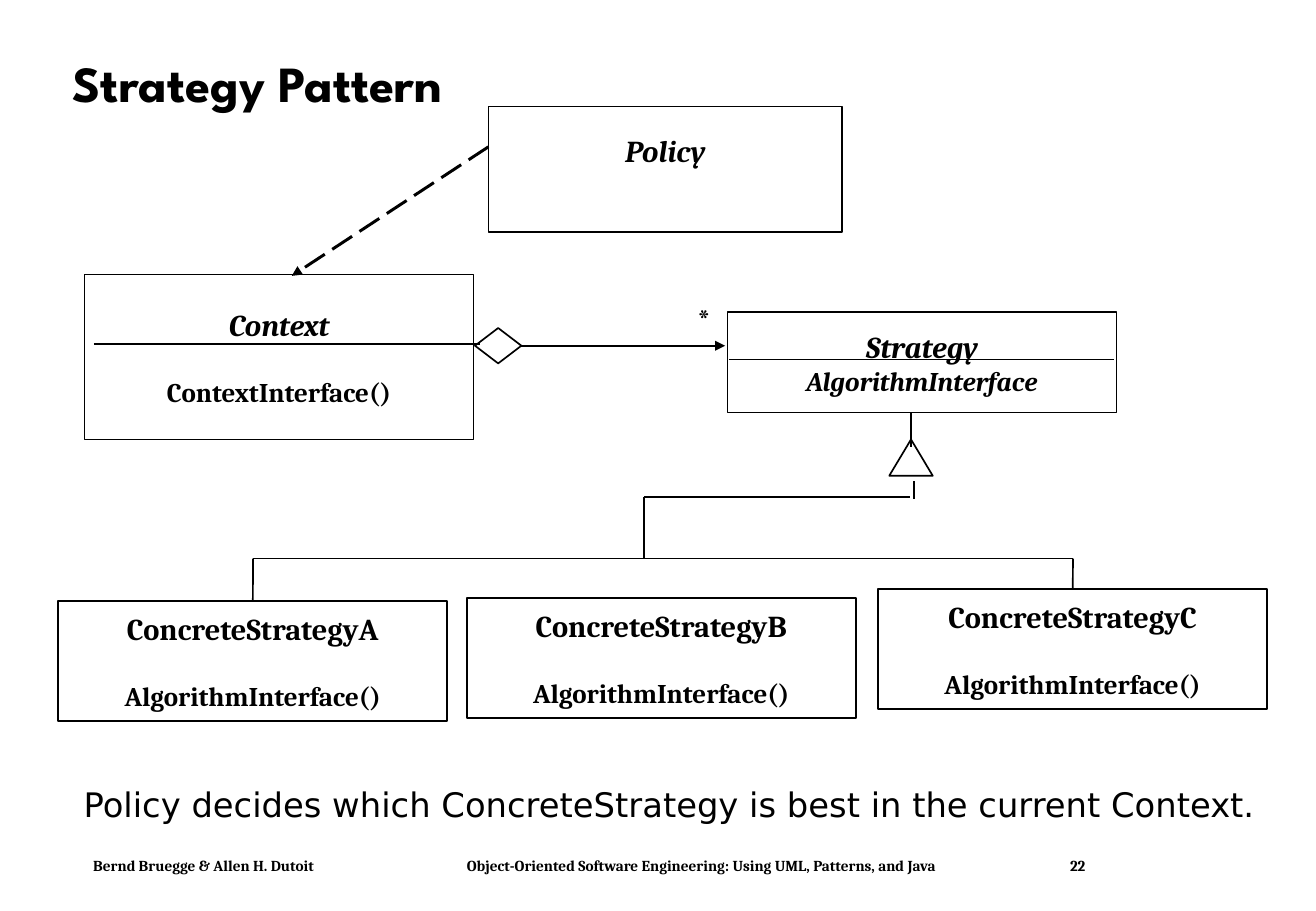
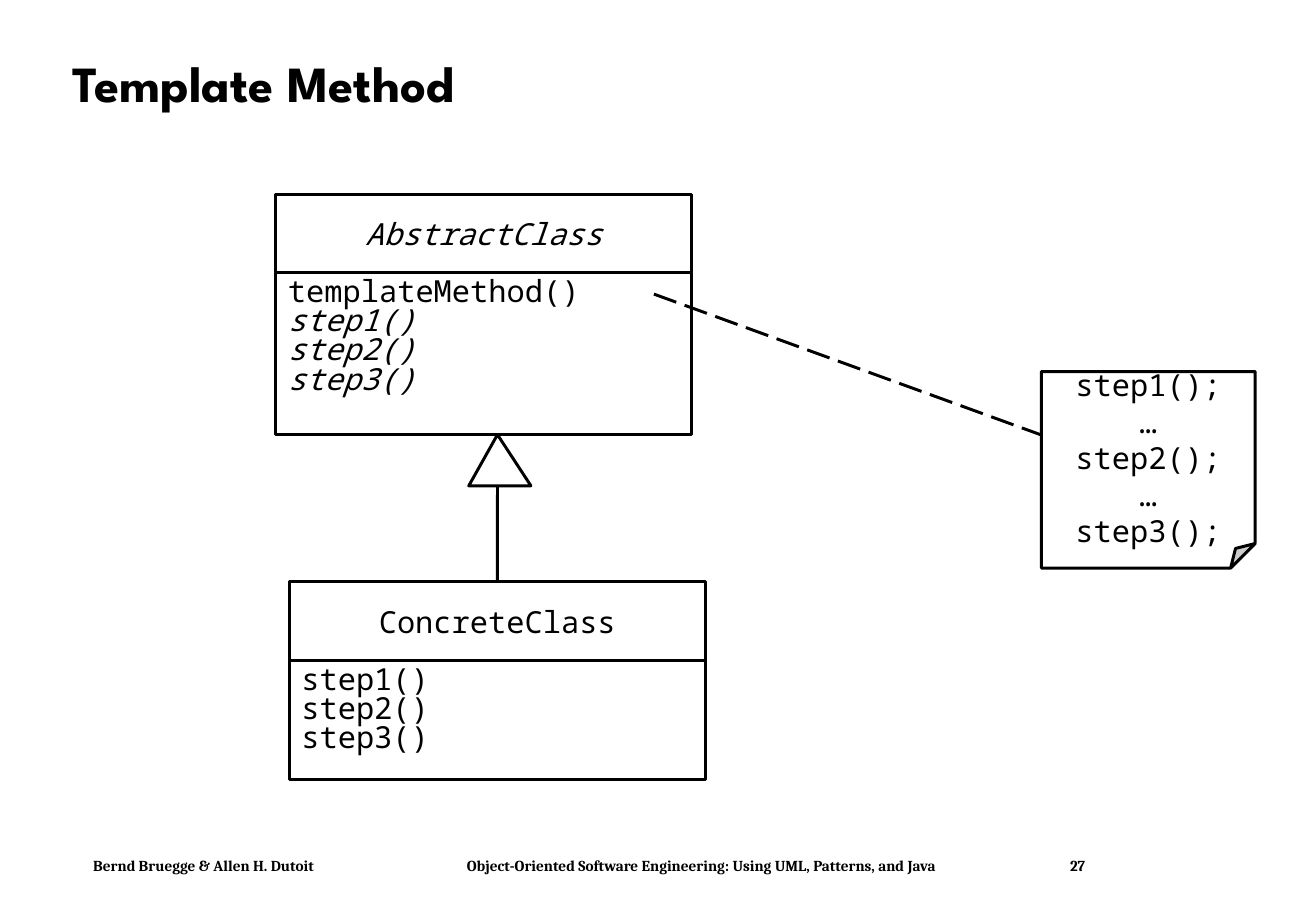
"""Build two slides of UML class diagrams: Strategy Pattern and Template Method."""
from dataclasses import dataclass
from itertools import pairwise
from typing import Optional

from pptx import Presentation
from pptx.dml.color import RGBColor
from pptx.enum.dml import MSO_LINE
from pptx.enum.shapes import MSO_CONNECTOR, MSO_SHAPE as Preset
from pptx.enum.text import MSO_ANCHOR as Anchor, MSO_AUTO_SIZE, PP_ALIGN as Align
from pptx.oxml.ns import qn
from pptx.util import Cm, Pt

BLACK = RGBColor(0, 0, 0)
WHITE = RGBColor(255, 255, 255)
TITLE_FONT = "League Spartan"
SERIF = "Cambria"
SANS = "DejaVu Sans"
MONO = "Noto Sans Mono"
THIN, THICK = 1, 1.75
INSET_X, INSET_Y = Cm(0.25), Cm(0.13)
MEMBER_GAP = 19.5
CLASS_WIDTH = 8.13
TEMPLATE_WIDTH = 8.69
NAME_HEIGHT = 1.65
AUTHORS = "Bernd Bruegge & Allen H. Dutoit"
BOOK = "Object-Oriented Software Engineering: Using UML, Patterns, and Java"
FOOTER_TABS = (7.81, 20.42)


@dataclass(frozen=True)
class Area:
    left: float
    top: float
    width: float
    height: float

    def lengths(self) -> tuple:
        return tuple(Cm(v) for v in (self.left, self.top, self.width, self.height))


@dataclass(frozen=True)
class Line:
    text: str
    size: float = 18
    font: str = SERIF
    bold: bool = True
    italic: bool = False
    before: float = 0
    spacing: Optional[float] = None
    align: Align = Align.CENTER
    tabs: tuple = ()


@dataclass(frozen=True)
class Box:
    area: Area
    lines: tuple = ()
    preset: Preset = Preset.RECTANGLE
    weight: float = THIN
    filled: bool = True
    wrap: bool = False
    anchor: Anchor = Anchor.MIDDLE
    bottom_inset: float = 0.13


@dataclass(frozen=True)
class Link:
    start: tuple
    end: tuple
    weight: float = THIN
    dashed: bool = False
    arrow: bool = False


def add_tabs(paragraph, positions: tuple) -> None:
    """Add left tab stops, given in centimetres."""
    properties = paragraph._p.get_or_add_pPr()
    tab_list = properties.makeelement(qn("a:tabLst"), {})
    properties.append(tab_list)
    for position in positions:
        stop = {"pos": str(int(Cm(position))), "algn": "l"}
        tab_list.append(tab_list.makeelement(qn("a:tab"), stop))


def write(frame, lines: tuple, anchor: Anchor, wrap: bool) -> None:
    """Fill a text frame with formatted lines, one paragraph each."""
    frame.auto_size = MSO_AUTO_SIZE.NONE
    frame.word_wrap = wrap
    frame.vertical_anchor = anchor
    frame.margin_left = frame.margin_right = INSET_X
    frame.margin_top = frame.margin_bottom = INSET_Y
    for index, line in enumerate(lines):
        paragraph = frame.add_paragraph() if index else frame.paragraphs[0]
        paragraph.text = line.text
        paragraph.alignment = line.align
        paragraph.space_before = Pt(line.before)
        if line.spacing:
            paragraph.line_spacing = line.spacing
        if line.tabs:
            add_tabs(paragraph, line.tabs)
        font = paragraph.font
        font.name, font.size = line.font, Pt(line.size)
        font.bold, font.italic = line.bold, line.italic
        font.color.rgb = BLACK


def outline(shape, weight: float, filled: bool) -> None:
    """Give a shape a black outline and a white fill or none."""
    shape.shadow.inherit = False
    if filled:
        shape.fill.solid()
        shape.fill.fore_color.rgb = WHITE
    else:
        shape.fill.background()
    shape.line.color.rgb = BLACK
    shape.line.width = Pt(weight)


def add_box(slide, box: Box):
    """Draw an outlined shape with its lines of text."""
    shape = slide.shapes.add_shape(box.preset, *box.area.lengths())
    outline(shape, box.weight, box.filled)
    write(shape.text_frame, box.lines, box.anchor, box.wrap)
    shape.text_frame.margin_bottom = Cm(box.bottom_inset)
    return shape


def add_label(slide, area: Area, line: Line, wrap: bool = True) -> None:
    """Draw one line of free-standing text."""
    label = slide.shapes.add_textbox(*area.lengths())
    write(label.text_frame, (line,), Anchor.TOP, wrap)


def add_link(slide, link: Link):
    """Draw a straight connector, dashed or with an arrowhead on request."""
    ends = (Cm(v) for v in (*link.start, *link.end))
    connector = slide.shapes.add_connector(MSO_CONNECTOR.STRAIGHT, *ends)
    connector.line.color.rgb = BLACK
    connector.line.width = Pt(link.weight)
    if link.dashed:
        connector.line.dash_style = MSO_LINE.LONG_DASH
    properties = connector._element.spPr
    if link.arrow:
        stroke = properties.find(qn("a:ln"))
        stroke.append(stroke.makeelement(qn("a:tailEnd"), {"type": "triangle"}))
    properties.append(properties.makeelement(qn("a:effectLst"), {}))
    return connector


def add_titled_slide(deck, title: str, number: int):
    """Add a slide with the shared title style and footer."""
    slide = deck.slides.add_slide(deck.slide_layouts[5])
    heading = slide.shapes.title
    heading.left, heading.top, heading.width, heading.height = Area(
        1.27, 0.61, 24.54, 2.39).lengths()
    heading_line = Line(title, 30, TITLE_FONT, spacing=0.9, align=Align.LEFT)
    write(heading.text_frame, (heading_line,), Anchor.MIDDLE, True)
    add_label(slide, Area(1.7, 17.78, 23.29, 0.64),
              Line(f"{AUTHORS}\t{BOOK}\t{number}", 9, align=Align.LEFT, tabs=FOOTER_TABS))
    return slide


def build_strategy(deck) -> None:
    """Draw the Strategy Pattern slide."""
    slide = add_titled_slide(deck, "Strategy Pattern", 22)
    add_box(slide, Box(Area(1.77, 5.74, CLASS_WIDTH, 3.45), (
        Line("Context", italic=True),
        Line("ContextInterface()", 16, before=MEMBER_GAP))))
    add_box(slide, Box(Area(15.21, 6.53, CLASS_WIDTH, 2.1), (
        Line("Strategy", italic=True),
        Line("AlgorithmInterface", 16, italic=True))))
    add_box(slide, Box(Area(10.21, 2.23, 7.4, 2.62),
                       (Line("Policy", italic=True),), bottom_inset=0.91))
    add_label(slide, Area(14.33, 6.15, 0.79, 1.02), Line("*", align=Align.LEFT), wrap=False)

    concrete = {}
    for letter, left, top in (("A", 1.22, 12.57), ("B", 9.76, 12.5), ("C", 18.36, 12.32)):
        concrete[letter] = add_box(slide, Box(Area(left, top, CLASS_WIDTH, 2.51), (
            Line(f"ConcreteStrategy{letter}"),
            Line("AlgorithmInterface()", 16, before=MEMBER_GAP))))

    aggregation = add_box(slide, Box(Area(9.93, 6.86, 0.97, 0.74), preset=Preset.DIAMOND))
    add_box(slide, Box(Area(18.59, 9.19, 0.91, 0.76), preset=Preset.ISOSCELES_TRIANGLE))
    bar_y, a_x, c_x = 11.68, 5.29, 22.43
    for link in (
        Link((1.96, 7.19), (10.03, 7.19)),
        Link((15.24, 7.52), (23.29, 7.52)),
        Link((19.05, 8.64), (19.05, 9.35)),
        Link((19.1, 10.06), (19.1, 10.44)),
        Link((10.21, 3.07), (6.1, 5.77), THICK, dashed=True, arrow=True),
        Link((a_x, bar_y), (c_x, bar_y)),
    ):
        add_link(slide, link)
    reference = add_link(slide, Link((10.9, 7.23), (15.16, 7.23), arrow=True))
    reference.begin_connect(aggregation, 3)

    for start, end in pairwise(((13.46, bar_y), (13.46, 10.39), (19.02, 10.39))):
        add_link(slide, Link(start, end))
    for letter, x in (("A", a_x), ("C", c_x)):
        drop = add_link(slide, Link((x, bar_y), (x, 12.5)))
        drop.end_connect(concrete[letter], 0)

    add_label(slide, Area(1.5, 16.26, 25.22, 1.12), Line(
        "Policy decides which ConcreteStrategy is best in the current Context.",
        20, SANS, bold=False, align=Align.LEFT))


def code(text: str, **style) -> Line:
    """Return a line in the code font."""
    return Line(text, font=MONO, bold=False, **style)


def add_template_class(slide, left: float, top: float, name: Line,
                       operations: tuple, operations_height: float):
    """Draw a class as a name box above an operations box; return the name box."""
    name_box = add_box(slide, Box(Area(left, top, TEMPLATE_WIDTH, NAME_HEIGHT), (name,),
                                  weight=THICK, filled=False, wrap=True))
    add_box(slide, Box(Area(left, top + NAME_HEIGHT, TEMPLATE_WIDTH, operations_height),
                       operations, weight=THICK, filled=False, wrap=True, anchor=Anchor.TOP))
    return name_box


def build_template_method(deck) -> None:
    """Draw the Template Method slide."""
    slide = add_titled_slide(deck, "Template Method", 27)
    steps = [f"step{n}()" for n in (1, 2, 3)]
    listed = {"spacing": 0.8, "align": Align.LEFT}

    corners = [(Cm(x), Cm(y)) for x, y in ((9.8, 10.16), (10.4, 9.09), (11.1, 10.16))]
    builder = slide.shapes.build_freeform(*corners[0])
    builder.add_line_segments(corners[1:], close=True)
    outline(builder.convert_to_shape(), THICK, filled=False)

    add_template_class(
        slide, 5.77, 4.06, code("AbstractClass", italic=True),
        (code("templateMethod()", **listed),
         *(code(step, italic=True, **listed) for step in steps)), 3.38)
    concrete = add_template_class(
        slide, 6.05, 12.17, code("ConcreteClass"),
        tuple(code(step, **listed) for step in steps), 2.49)
    inheritance = add_link(slide, Link((10.4, 12.17), (10.4, 10.16), THICK))
    inheritance.begin_connect(concrete, 0)

    add_link(slide, Link((13.67, 6.15), (21.89, 9.14), THICK, dashed=True))
    body = ("step1();", "…", "step2();", "…", "step3();")
    note = add_box(slide, Box(Area(21.77, 7.77, 4.47, 4.11), tuple(code(t) for t in body),
                              preset=Preset.FOLDED_CORNER, weight=THICK))
    guides = note._element.spPr.find(qn("a:prstGeom")).find(qn("a:avLst"))
    guides.append(guides.makeelement(qn("a:gd"), {"name": "adj", "fmla": "val 12500"}))


def main() -> None:
    """Build and save the presentation."""
    deck = Presentation()
    deck.slide_width, deck.slide_height = Cm(27.51), Cm(19.05)
    build_strategy(deck)
    build_template_method(deck)
    deck.save("out.pptx")


if __name__ == "__main__":
    main()
